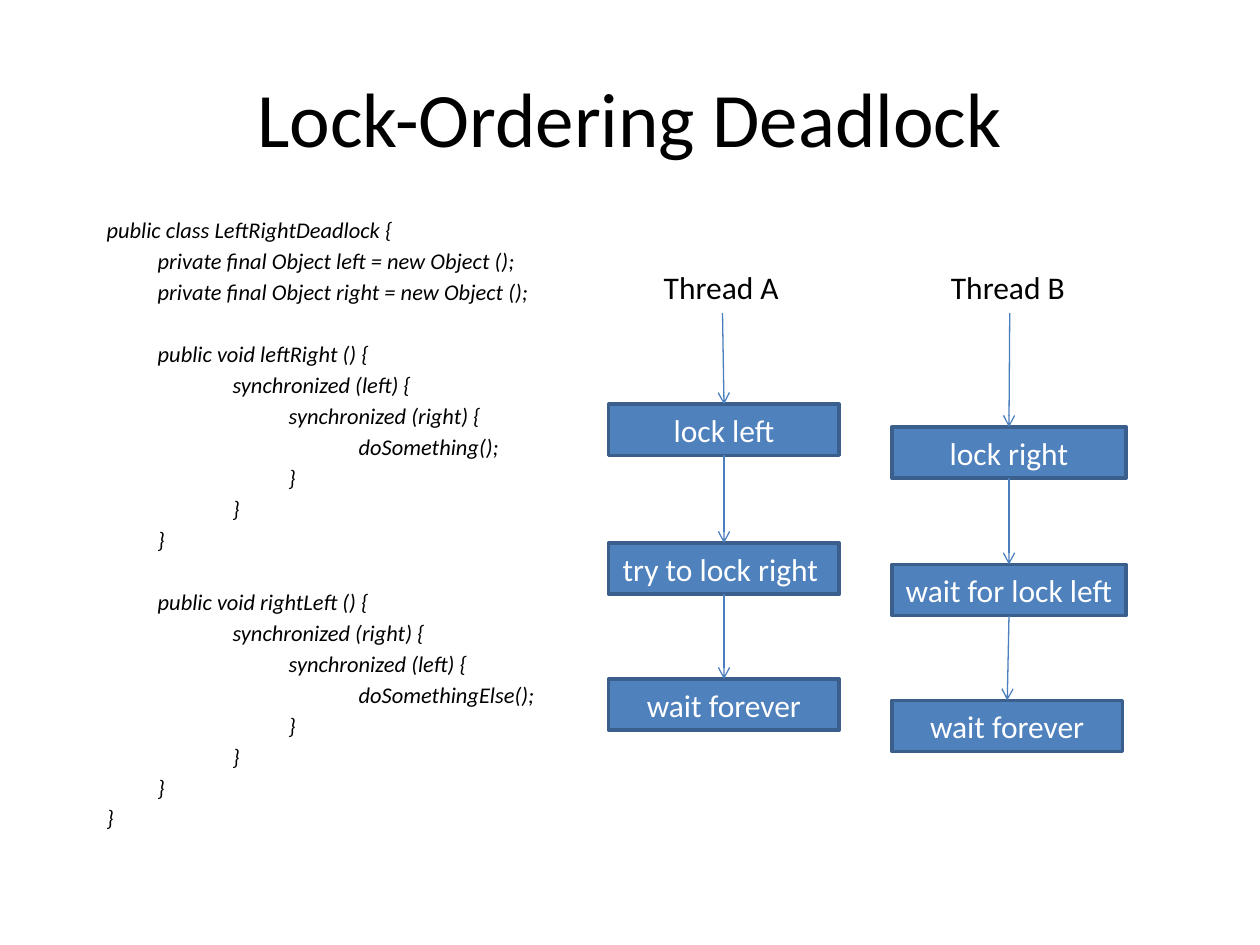
from pptx import Presentation
from pptx.dml.color import RGBColor
from pptx.enum.shapes import MSO_CONNECTOR as CONNECTOR, MSO_SHAPE as SHAPE
from pptx.enum.text import MSO_ANCHOR as ANCHOR, PP_ALIGN as ALIGN
from pptx.oxml.ns import qn
from pptx.util import Cm, Pt
from lxml.etree import SubElement


def color(hex_value):
    return RGBColor.from_string(hex_value)


def write(paragraph, text, size, hex_value):
    paragraph.text = text
    paragraph.font.name = "Calibri"
    paragraph.font.size = Pt(size)
    paragraph.font.color.rgb = color(hex_value)


prs = Presentation()
prs.slide_width, prs.slide_height = Cm(25.4), Cm(19.05)
slide = prs.slides.add_slide(prs.slide_layouts[5])
shapes = slide.shapes

# Title
title = shapes.title
title.left, title.top, title.width, title.height = Cm(1.27), Cm(0.76), Cm(22.86), Cm(3.18)
title.text_frame.vertical_anchor = ANCHOR.MIDDLE
heading = title.text_frame.paragraphs[0]
write(heading, "Lock-Ordering Deadlock", 44, "000000")
heading.alignment = ALIGN.CENTER

# Code listing: nesting level and text of each line
INDENTS = [0, 1.03, 2.54, 3.67, 5.08]
LINE_GAP, METHOD_GAP = 2.3, 20.2
code_lines = [
    (0, "public class LeftRightDeadlock {"),
    (1, "private final Object left = new Object ();"),
    (1, "private final Object right = new Object ();"),
]
for method, outer, inner, action in [
    ("leftRight", "left", "right", "doSomething"),
    ("rightLeft", "right", "left", "doSomethingElse"),
]:
    code_lines += [
        (1, f"public void {method} () {{"),
        (2, f"synchronized ({outer}) {{"),
        (3, f"synchronized ({inner}) {{"),
        (4, f"{action}();"),
        (3, "}"),
        (2, "}"),
        (1, "}"),
    ]
code_lines.append((0, "}"))

code = shapes.add_textbox(Cm(1.9), Cm(4.24), Cm(12.27), Cm(12.57)).text_frame
code.word_wrap = True
for i, (level, text) in enumerate(code_lines):
    line = code.add_paragraph() if i else code.paragraphs[0]
    write(line, text, 12.8, "000000")
    line.font.italic = True
    line.space_before = Pt(METHOD_GAP if text.startswith("public void") else LINE_GAP)
    line._p.get_or_add_pPr().set("marL", str(Cm(INDENTS[level])))

# Threads: label, label left, steps left, then top, width and text of each step
STEP_HEIGHT = Cm(1.03)
threads = [
    ("Thread A", 13.13, 12.27, [
        (8.15, 4.65, "lock left"),
        (10.95, 4.65, "try to lock right "),
        (13.69, 4.65, "wait forever"),
    ]),
    ("Thread B", 18.92, 17.98, [
        (8.61, 4.72, "lock right"),
        (11.38, 4.72, "wait for lock left"),
        (14.12, 4.65, "wait forever"),
    ]),
]
for name, label_left, steps_left, steps in threads:
    label = shapes.add_textbox(Cm(label_left), Cm(5.28), Cm(2.87), STEP_HEIGHT)
    label.text_frame.word_wrap = False
    write(label.text_frame.paragraphs[0], name, 18, "000000")

    previous = label
    for top, width, text in steps:
        step = shapes.add_shape(SHAPE.RECTANGLE, Cm(steps_left), Cm(top), Cm(width), STEP_HEIGHT)
        step.shadow.inherit = False
        step.fill.solid()
        step.fill.fore_color.rgb = color("4F81BD")
        step.line.color.rgb = color("3A5F8C")
        step.line.width = Pt(2)
        step.text_frame.word_wrap = False
        step.text_frame.vertical_anchor = ANCHOR.MIDDLE
        caption = step.text_frame.paragraphs[0]
        write(caption, text, 18, "FFFFFF")
        caption.alignment = ALIGN.CENTER

        # Arrow from the bottom of the previous part to the top of this step
        arrow = shapes.add_connector(CONNECTOR.STRAIGHT, 0, 0, 0, 0)
        arrow.begin_connect(previous, 2)
        arrow.end_connect(step, 0)
        arrow.line.color.rgb = color("4B7EBC")
        arrow.line.width = Pt(0.75)
        SubElement(arrow.line._get_or_add_ln(), qn("a:tailEnd"), type="arrow")
        SubElement(arrow._element.spPr, qn("a:effectLst"))
        previous = step

prs.save("out.pptx")
